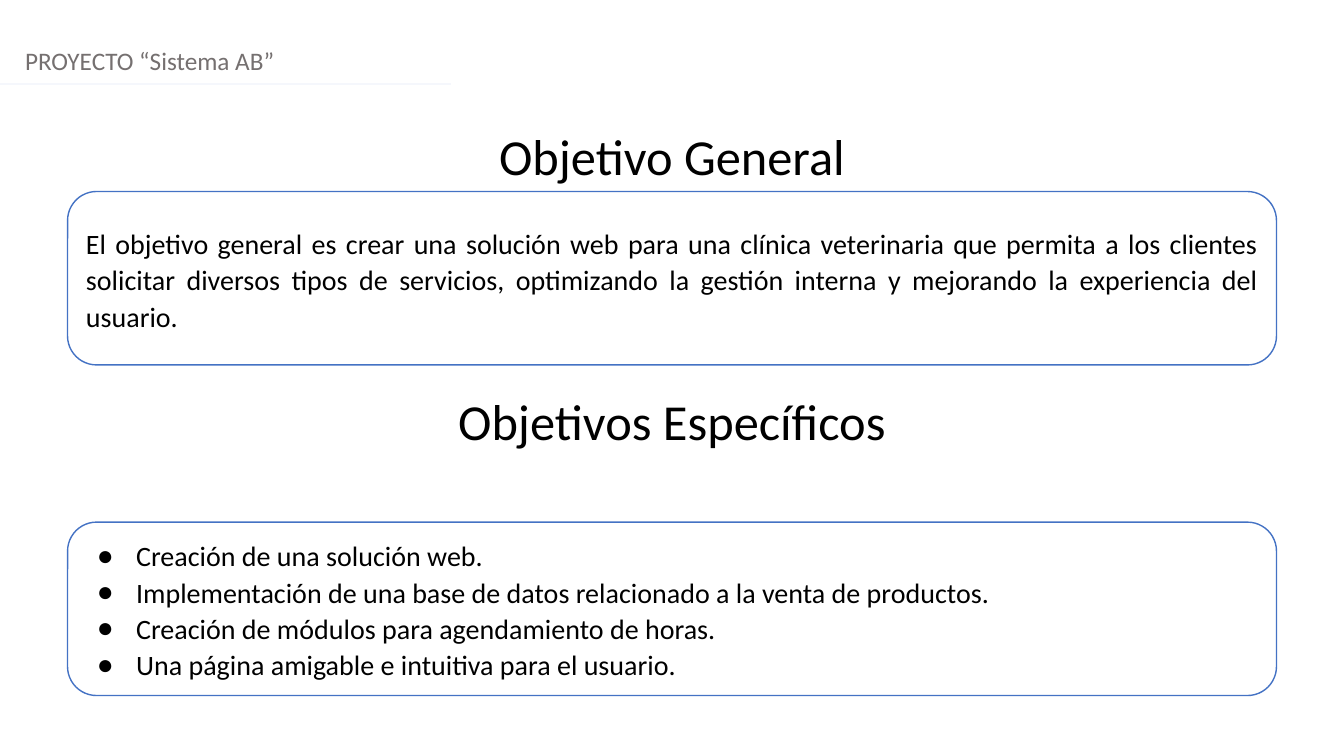
from lxml.etree import SubElement
from pptx import Presentation
from pptx.dml.color import RGBColor
from pptx.enum.shapes import MSO_CONNECTOR, MSO_SHAPE
from pptx.enum.text import MSO_ANCHOR, MSO_AUTO_SIZE, PP_ALIGN
from pptx.oxml.ns import qn
from pptx.util import Inches, Pt

PROJECT = "PROYECTO “Sistema AB”"
GENERAL_TITLE = "Objetivo General"
GENERAL_GOAL = (
    "El objetivo general es crear una solución web para una clínica veterinaria "
    "que permita a los clientes solicitar diversos tipos de servicios, optimizando "
    "la gestión interna y mejorando la experiencia del usuario."
)
SPECIFIC_TITLE = "Objetivos Específicos"
SPECIFIC_GOALS = [
    "Creación de una solución web.",
    "Implementación de una base de datos relacionado a la venta de productos.",
    "Creación de módulos para agendamiento de horas.",
    "Una página amigable e intuitiva para el usuario.",
]

COLORS = {"text": "000000", "header": "757070", "rule": "F5F7FC",
          "card": "FFFFFF", "border": "4472C4"}
FONT = "Calibri"
SLIDE_W, SLIDE_H = 13.33, 7.5
CARD_LEFT, CARD_W, CARD_H = 0.67, 11.99, 1.72
GENERAL_TOP, SPECIFIC_TOP = 1.9, 5.18
CORNER = 0.167
CORNER_INSET = round(CORNER * CARD_H * 0.293, 2)
HEADING_H = 0.71
BODY_FORMAT = {"alignment": PP_ALIGN.JUSTIFY, "line_spacing": 1.08,
               "space_before": Pt(0)}


def color(name):
    return RGBColor.from_string(COLORS[name])


def place(shape, left, top, width, height):
    for name, value in zip(("left", "top", "width", "height"),
                           (left, top, width, height)):
        setattr(shape, name, Inches(value))


def write(shape, lines, size, ink="text", anchor=MSO_ANCHOR.TOP, **para_format):
    """Fill a shape with one paragraph per line and return the paragraphs."""
    frame = shape.text_frame
    frame_format = {"word_wrap": True, "auto_size": MSO_AUTO_SIZE.NONE,
                    "vertical_anchor": anchor,
                    "margin_left": Inches(0.1), "margin_right": Inches(0.1),
                    "margin_top": Inches(0.05), "margin_bottom": Inches(0.05)}
    for name, value in frame_format.items():
        setattr(frame, name, value)
    frame.text = "\n".join(lines)
    for para in frame.paragraphs:
        for name, value in para_format.items():
            setattr(para, name, value)
        for span in para.runs:
            for name, value in {"name": FONT, "size": Pt(size)}.items():
                setattr(span.font, name, value)
            span.font.color.rgb = color(ink)
    return frame.paragraphs


def add_card(page, top):
    card = page.shapes.add_shape(
        MSO_SHAPE.ROUNDED_RECTANGLE, Inches(CARD_LEFT), Inches(top),
        Inches(CARD_W), Inches(CARD_H))
    card.adjustments[0] = CORNER
    card.shadow.inherit = False
    card.fill.solid()
    card.fill.fore_color.rgb = color("card")
    card.line.color.rgb = color("border")
    card.line.width = Pt(1)
    return card


def add_bullet(para):
    props = para._p.get_or_add_pPr()
    props.set("marL", str(Inches(0.5)))
    props.set("indent", str(Inches(-0.39)))
    bullet_color = SubElement(props, qn("a:buClr"))
    SubElement(bullet_color, qn("a:srgbClr"), val=COLORS["text"])
    SubElement(props, qn("a:buChar"), char="●")


def add_rule(page):
    rule = page.shapes.add_connector(
        MSO_CONNECTOR.STRAIGHT, Inches(0), Inches(0.83), Inches(4.47), Inches(0.83))
    rule.line.color.rgb = color("rule")
    rule.line.width = Pt(1.25)
    SubElement(rule._element.spPr, qn("a:effectLst"))


def main():
    deck = Presentation()
    deck.slide_width, deck.slide_height = Inches(SLIDE_W), Inches(SLIDE_H)
    page = deck.slides.add_slide(deck.slide_layouts[1])

    header = page.shapes.add_textbox(0, 0, 0, 0)
    place(header, 0.15, 0.4, SLIDE_W, 0.4)
    write(header, [PROJECT], 18, "header")
    add_rule(page)

    specific_heading = page.shapes.add_textbox(0, 0, 0, 0)
    for heading, text, top in (
            (page.shapes.title, GENERAL_TITLE, GENERAL_TOP - HEADING_H),
            (specific_heading, SPECIFIC_TITLE, 3.82)):
        place(heading, 0, top, SLIDE_W, HEADING_H)
        write(heading, [text], 36, alignment=PP_ALIGN.CENTER)

    general_card = add_card(page, GENERAL_TOP)
    write(general_card, [GENERAL_GOAL], 20, anchor=MSO_ANCHOR.MIDDLE,
          space_after=Pt(8), **BODY_FORMAT)

    specific_card = add_card(page, SPECIFIC_TOP)
    goals = page.placeholders[1]
    specific_card._element.addnext(goals._element)
    place(goals, CARD_LEFT + CORNER_INSET, SPECIFIC_TOP,
          CARD_W - 2 * CORNER_INSET, CARD_H)
    for para in write(goals, SPECIFIC_GOALS, 20, anchor=MSO_ANCHOR.MIDDLE,
                      **BODY_FORMAT):
        add_bullet(para)

    deck.save("out.pptx")


if __name__ == "__main__":
    main()
